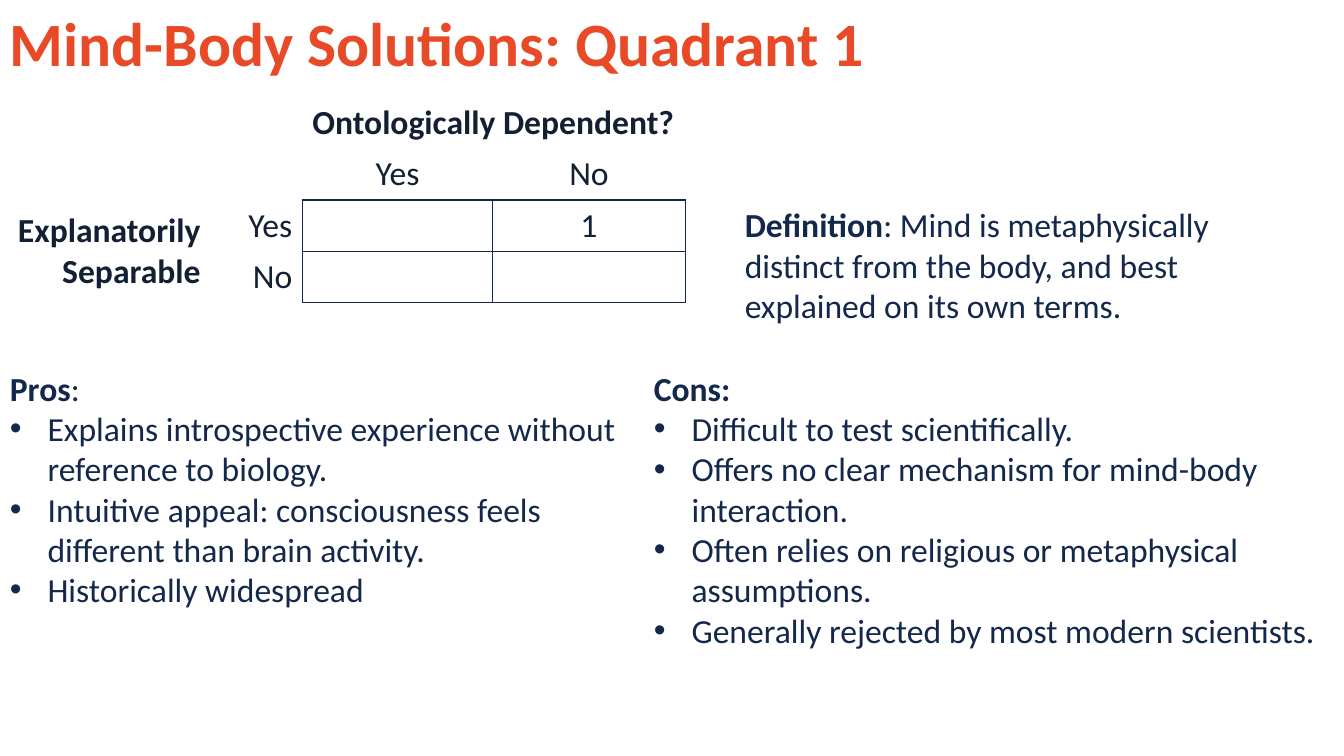
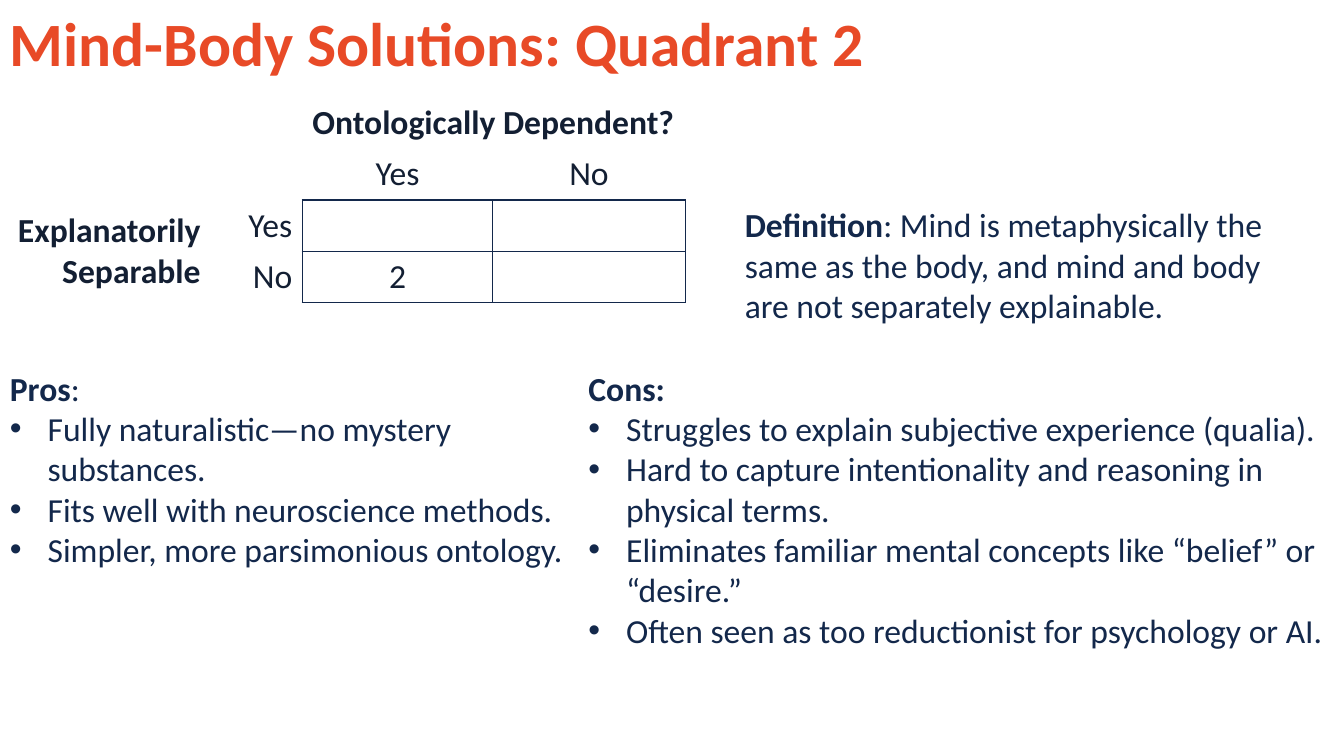
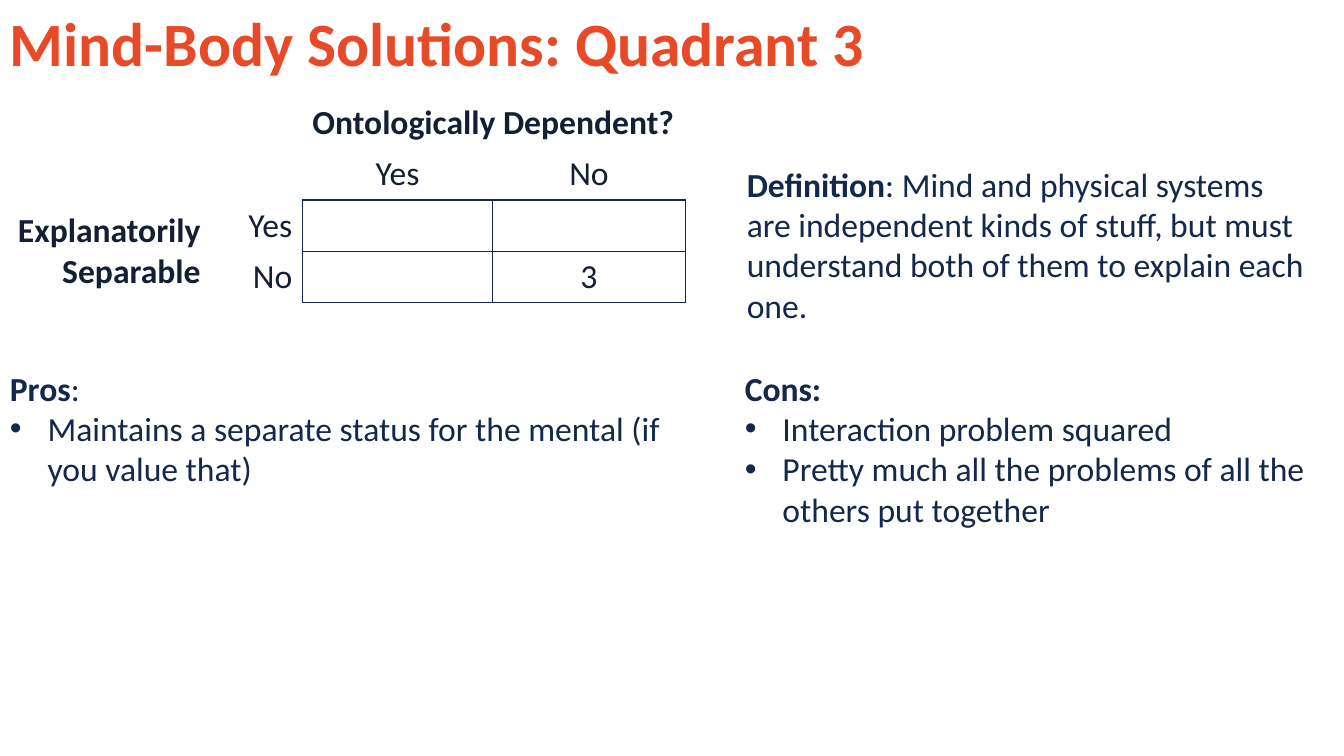
from dataclasses import dataclass

from lxml import etree
from pptx import Presentation
from pptx.dml.color import RGBColor
from pptx.enum.text import MSO_ANCHOR, PP_ALIGN
from pptx.oxml.ns import qn
from pptx.slide import Slide
from pptx.table import Table, _Cell
from pptx.text.text import TextFrame, _Paragraph
from pptx.util import Cm, Pt

MIDDLE = MSO_ANCHOR.MIDDLE
TOP = MSO_ANCHOR.TOP
LEFT, CENTER, RIGHT = PP_ALIGN.LEFT, PP_ALIGN.CENTER, PP_ALIGN.RIGHT

COLORS = {"title": "E84A27", "body": "13284B", "table": "131F33", "border": "13284B"}
FONT = "Calibri"
TITLE_SIZE, BODY_SIZE = 44, 24
NO_TABLE_STYLE = "{2D5ABB26-0587-4C30-8999-92F81FD0307C}"

# All lengths below are centimetres.
SLIDE_W, SLIDE_H = 33.87, 19.05
TITLE_H = 2.34
TABLE_TOP, ROW_H = 2.46, 1.29
COL_WIDTHS = (5.31, 2.31, 4.8, 4.85)
LISTS_TOP = 9.14
DEFINITION_BOTTOM, DEFINITION_W = 8.33, 14.6
LINE_H, INSET = 1.02, 0.25
BULLET_INDENT = 0.95


@dataclass(frozen=True)
class Run:
    text: str
    bold: bool = False


@dataclass(frozen=True)
class BulletList:
    heading: tuple[Run, ...]
    items: tuple[str, ...]
    lines: int


@dataclass(frozen=True)
class Quadrant:
    number: int
    row: int
    col: int
    definition: str
    definition_left: float
    definition_lines: int
    pros: BulletList
    cons: BulletList
    cons_left: float
    pros_width: float


PROS = (Run("Pros", True), Run(":"))
CONS = (Run("Cons:", True),)

QUADRANTS = (
    Quadrant(
        1, 2, 3,
        "Mind is metaphysically distinct from the body, and best explained on its own terms.",
        18.52, 3,
        BulletList(PROS, (
            "Explains introspective experience without reference to biology.",
            "Intuitive appeal: consciousness feels different than brain activity.",
            "Historically widespread",
        ), 6),
        BulletList(CONS, (
            "Difficult to test scientifically.",
            "Offers no clear mechanism for mind-body interaction.",
            "Often relies on religious or metaphysical assumptions.",
            "Generally rejected by most modern scientists.",
        ), 7),
        16.23, 16.23,
    ),
    Quadrant(
        2, 3, 2,
        "Mind is metaphysically the same as the body, and mind and body are not "
        "separately explainable.",
        18.52, 3,
        BulletList(PROS, (
            "Fully naturalistic—no mystery substances.",
            "Fits well with neuroscience methods.",
            "Simpler, more parsimonious ontology.",
        ), 5),
        BulletList(CONS, (
            "Struggles to explain subjective experience (qualia).",
            "Hard to capture intentionality and reasoning in physical terms.",
            "Eliminates familiar mental concepts like “belief” or “desire.”",
            "Often seen as too reductionist for psychology or AI.",
        ), 7),
        14.58, 14.58,
    ),
    Quadrant(
        3, 3, 3,
        "Mind and physical systems are independent kinds of stuff, but must understand "
        "both of them to explain each one.",
        18.57, 4,
        BulletList(PROS, (
            "Maintains a separate status for the mental (if you value that)",
        ), 3),
        BulletList(CONS, (
            "Interaction problem squared",
            "Pretty much all the problems of all the others put together",
        ), 4),
        18.52, 17.27,
    ),
)


def add_run(p: _Paragraph, run: Run, color: str, size: int = BODY_SIZE) -> None:
    r = p.add_run()
    r.text = run.text
    r.font.name = FONT
    r.font.size = Pt(size)
    r.font.bold = run.bold
    r.font.color.rgb = RGBColor.from_string(COLORS[color])


def add_text_box(slide: Slide, left: float, top: float, width: float, height: float,
                 anchor: MSO_ANCHOR = TOP) -> TextFrame:
    tf = slide.shapes.add_textbox(Cm(left), Cm(top), Cm(width), Cm(height)).text_frame
    tf.word_wrap = True
    tf.vertical_anchor = anchor
    return tf


def text_height(lines: int) -> float:
    return lines * LINE_H + INSET


def add_bullet(p: _Paragraph) -> None:
    pPr = p._p.get_or_add_pPr()
    pPr.set("marL", str(Cm(BULLET_INDENT)))
    pPr.set("indent", str(-Cm(BULLET_INDENT)))
    etree.SubElement(pPr, qn("a:buFont"), typeface="Arial")
    etree.SubElement(pPr, qn("a:buChar"), char="•")


def add_title(slide: Slide, text: str) -> None:
    p = add_text_box(slide, 0, 0, SLIDE_W, TITLE_H, MIDDLE).paragraphs[0]
    p.line_spacing = 0.9
    add_run(p, Run(text, True), "title", TITLE_SIZE)


def add_definition(slide: Slide, quadrant: Quadrant) -> None:
    height = text_height(quadrant.definition_lines)
    tf = add_text_box(slide, quadrant.definition_left, DEFINITION_BOTTOM - height,
                      DEFINITION_W, height)
    for run in (Run("Definition", True), Run(f": {quadrant.definition}")):
        add_run(tf.paragraphs[0], run, "body")


def add_list(slide: Slide, content: BulletList, left: float, width: float) -> None:
    tf = add_text_box(slide, left, LISTS_TOP, width, text_height(content.lines))
    for run in content.heading:
        add_run(tf.paragraphs[0], run, "body")
    for item in content.items:
        p = tf.add_paragraph()
        add_bullet(p)
        add_run(p, Run(item), "body")


def set_borders(cell: _Cell, sides: str) -> None:
    """Draw the sides named by letters of "LRTB"; leave the others without a line."""
    tcPr = cell._tc.get_or_add_tcPr()
    for i, side in enumerate("LRTB"):
        ln = etree.Element(qn(f"a:ln{side}"), w=str(Pt(1)))
        if side in sides:
            fill = etree.SubElement(ln, qn("a:solidFill"))
            etree.SubElement(fill, qn("a:srgbClr"), val=COLORS["border"])
        else:
            etree.SubElement(ln, qn("a:noFill"))
        tcPr.insert(i, ln)


def fill_cell(table: Table, row: int, col: int, run: Run, align: PP_ALIGN) -> None:
    p = table.cell(row, col).text_frame.paragraphs[0]
    p.alignment = align
    add_run(p, run, "table")


def cell_borders(row: int, col: int) -> str:
    if row >= 2 and col >= 2:
        return "LRTB"
    if row == 1 and col >= 2:
        return "B"
    return "R" if row >= 2 and col == 1 else ""


def add_matrix(slide: Slide, quadrant: Quadrant) -> None:
    table = slide.shapes.add_table(4, 4, Cm(0), Cm(TABLE_TOP), Cm(sum(COL_WIDTHS)),
                                   Cm(4 * ROW_H)).table
    table.first_row = table.horz_banding = False
    table._tbl.tblPr.find(qn("a:tableStyleId")).text = NO_TABLE_STYLE
    for col, width in enumerate(COL_WIDTHS):
        table.columns[col].width = Cm(width)
    for row in range(4):
        table.rows[row].height = Cm(ROW_H)
        for col in range(4):
            cell = table.cell(row, col)
            cell.fill.background()
            cell.vertical_anchor = MIDDLE
            set_borders(cell, cell_borders(row, col))
    table.cell(0, 2).merge(table.cell(0, 3))
    table.cell(2, 0).merge(table.cell(3, 0))

    fill_cell(table, 0, 2, Run("Ontologically Dependent?", True), LEFT)
    fill_cell(table, 2, 0, Run("Explanatorily Separable", True), RIGHT)
    for i, answer in enumerate(("Yes", "No"), start=2):
        fill_cell(table, 1, i, Run(answer), CENTER)
        fill_cell(table, i, 1, Run(answer), RIGHT)
    fill_cell(table, quadrant.row, quadrant.col, Run(str(quadrant.number)), CENTER)


def main() -> None:
    prs = Presentation()
    prs.slide_width, prs.slide_height = Cm(SLIDE_W), Cm(SLIDE_H)
    for quadrant in QUADRANTS:
        slide = prs.slides.add_slide(prs.slide_layouts[6])
        add_title(slide, f"Mind-Body Solutions: Quadrant {quadrant.number}")
        add_matrix(slide, quadrant)
        add_list(slide, quadrant.pros, 0, quadrant.pros_width)
        add_definition(slide, quadrant)
        add_list(slide, quadrant.cons, quadrant.cons_left, SLIDE_W - quadrant.cons_left)
    prs.save("out.pptx")


if __name__ == "__main__":
    main()
